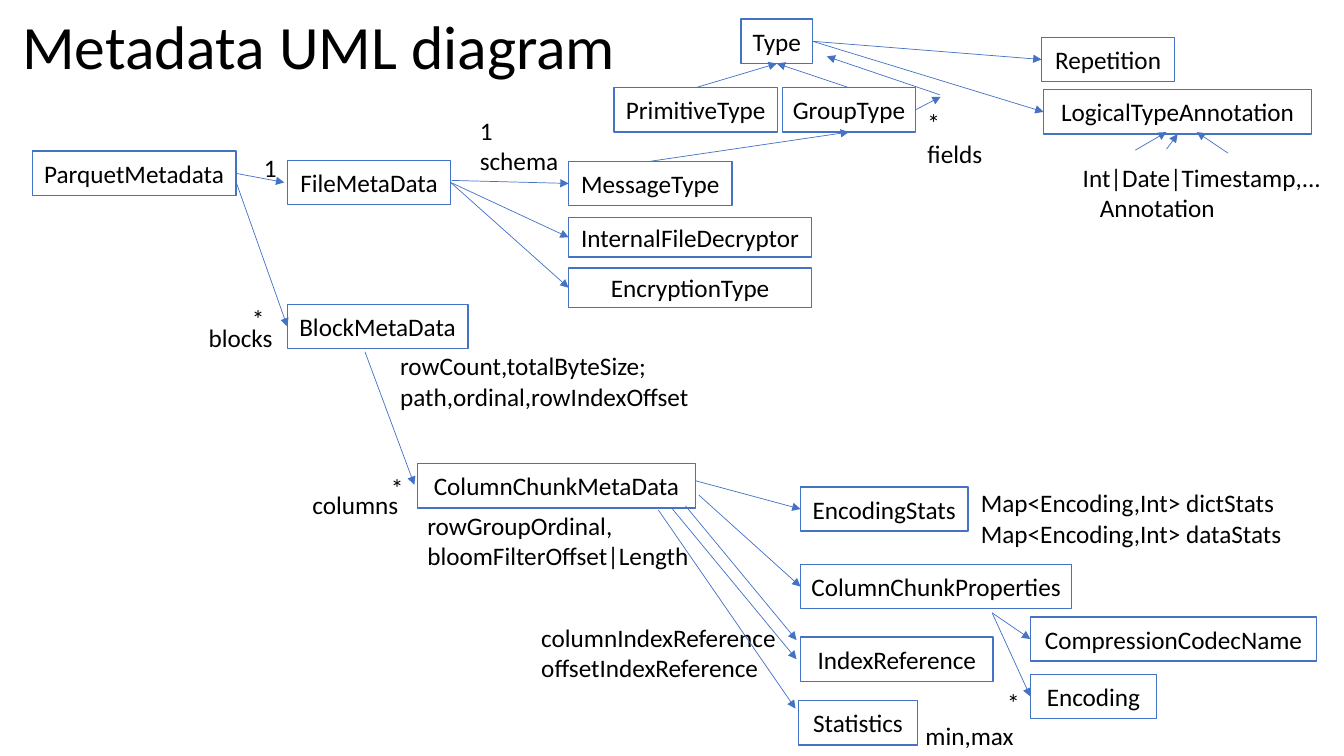
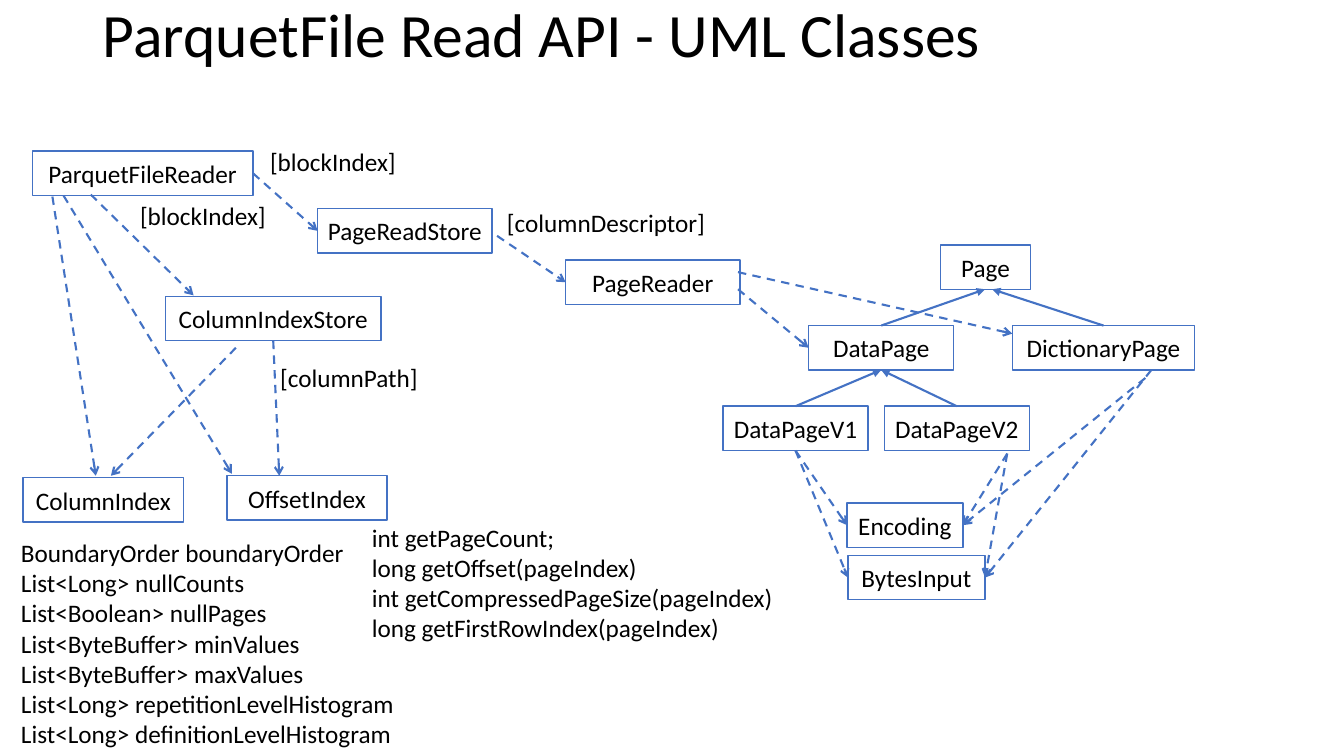
from dataclasses import dataclass
from typing import Any

from lxml import etree
from pptx import Presentation
from pptx import util as u
from pptx.dml.color import RGBColor
from pptx.enum import dml, shapes, text
from pptx.oxml import ns

PX = 9144  # 100 px to the inch
FONT = "Calibri"
INK, PAPER, ACCENT = "000000", "FFFFFF", "4472C4"
TOP, LEFT, BOTTOM, RIGHT = range(4)  # connection sites of a rectangle

# Arrow styles
MEMBER = dict(width=0.5, head="triangle")
EXTENDS = dict(width=1.5, head="triangle")
USES = dict(width=1.5, head="arrow", dashed=True)


def px(*lengths):
    return [u.Emu(length * PX) for length in lengths]


def color(value):
    return RGBColor.from_string(value)


def write(frame, lines, size=18, align=text.PP_ALIGN.LEFT,
          anchor=text.MSO_ANCHOR.TOP, spacing=None, indents=()):
    """Fill a text frame, one paragraph a line; indents are px per line."""
    frame.word_wrap = True
    frame.auto_size = text.MSO_AUTO_SIZE.NONE
    frame.vertical_anchor = anchor
    for number, line in enumerate(lines):
        para = frame.add_paragraph() if number else frame.paragraphs[0]
        para.alignment = align
        para.line_spacing = spacing
        if number < len(indents):
            para._p.get_or_add_pPr().set("marL", str(indents[number] * PX))
        span = para.add_run()
        span.text = line
        span.font.name = FONT
        span.font.size = u.Pt(size)
        span.font.color.rgb = color(INK)


@dataclass
class Region:
    """Part of a page; every position is relative to its left top corner."""
    page: Any
    left: int = 0
    top: int = 0

    def box(self, name, x, y, width, height=44):
        box = self.page.shapes.add_shape(
            shapes.MSO_SHAPE.RECTANGLE,
            *px(self.left + x, self.top + y, width, height))
        box.shadow.inherit = False
        box.fill.solid()
        box.fill.fore_color.rgb = color(PAPER)
        box.line.color.rgb = color(ACCENT)
        box.line.width = u.Pt(1)
        box.text_frame.margin_left = box.text_frame.margin_right = 0
        write(box.text_frame, [name], align=text.PP_ALIGN.CENTER,
              anchor=text.MSO_ANCHOR.MIDDLE)
        return box

    def note(self, lines, x, y, width, **style):
        height = 10 + 30 * len(lines)
        note = self.page.shapes.add_textbox(
            *px(self.left + x, self.top + y, width, height))
        write(note.text_frame, lines, **style)

    def link(self, start, end, width, head, dashed=False):
        """Each end is an (x, y) point or a (box, side) pair to glue to."""
        points = [(0, 0) if hasattr(a, "text_frame")
                  else (self.left + a, self.top + b) for a, b in (start, end)]
        line = self.page.shapes.add_connector(
            shapes.MSO_CONNECTOR.STRAIGHT, *px(*points[0], *points[1]))
        for target, connect in ((start, line.begin_connect),
                                (end, line.end_connect)):
            if hasattr(target[0], "text_frame"):
                connect(*target)
        line.line.color.rgb = color(ACCENT)
        line.line.width = u.Pt(width)
        if dashed:
            line.line.dash_style = dml.MSO_LINE.DASH
        properties = line.element.spPr
        etree.SubElement(properties.find(ns.qn("a:ln")),
                         ns.qn("a:tailEnd"), type=head)
        etree.SubElement(properties, ns.qn("a:effectLst"))

    def links(self, pairs, style):
        for start, end in pairs:
            self.link(start, end, **style)


def add_page(deck, title, x, y, height):
    page = deck.slides.add_slide(deck.slide_layouts[5])
    holder = page.shapes.title
    holder.left, holder.top, holder.width, holder.height = px(x, y, 1150, height)
    write(holder.text_frame, [title], size=44,
          anchor=text.MSO_ANCHOR.MIDDLE, spacing=0.9)
    return page


def file_metadata(region):
    # Classes
    parquet = region.box("ParquetMetadata", 0, 0, 202)
    file = region.box("FileMetaData", 253, 9, 162)
    block = region.box("BlockMetaData", 253, 152, 179)
    message = region.box("MessageType", 532, 10, 162)
    decryptor = region.box("InternalFileDecryptor", 532, 66, 241, 39)
    encryption = region.box("EncryptionType", 532, 116, 241, 39)
    # Members
    region.note(["*"], 208, 146, 33)
    region.note(["1"], 220, -4, 33)
    region.note(["1", "schema"], 434, -41, 99)
    region.note(["blocks"], 165, 165, 88)
    region.note(["rowCount,totalByteSize;", "path,ordinal,rowIndexOffset"],
                355, 193, 315)
    region.links([
        ((parquet, RIGHT), (250, 31)),
        ((202, 30), (block, LEFT)),
        ((416, 29), (message, LEFT)),
        ((file, RIGHT), (decryptor, LEFT)),
        ((file, RIGHT), (encryption, LEFT)),
    ], MEMBER)
    return message


def schema_types(region):
    # Classes
    base = region.box("Type", 126, 0, 71)
    primitive = region.box("PrimitiveType", 0, 68, 162)
    group = region.box("GroupType", 167, 68, 132)
    repetition = region.box("Repetition", 424, 18, 132)
    logical = region.box("LogicalTypeAnnotation", 426, 70, 266)
    # Members
    region.note(["*", "fields"], 301, 83, 75)
    region.note(["Int|Date|Timestamp,...", "Annotation"], 455, 137, 259,
                indents=(0, 17))
    region.links([
        ((primitive, TOP), (base, BOTTOM)),
        ((group, TOP), (base, BOTTOM)),
        ((base, RIGHT), (repetition, LEFT)),
        ((base, RIGHT), (logical, LEFT)),
        ((group, RIGHT), (324, 77)),
        ((323, 75), (211, 37)),
        ((517, 130), (548, 112)),
        ((548, 129), (559, 114)),
        ((609, 133), (578, 112)),
    ], MEMBER)
    return group


def column_chunk(region):
    # Classes
    chunk_width = 276
    region.box("ColumnChunkMetaData", 114, 0, chunk_width)
    stats = region.box("EncodingStats", 494, 23, 166)
    properties = region.box("ColumnChunkProperties", 494, 100, 269)
    region.box("IndexReference", 494, 172, 191)
    region.box("Statistics", 492, 235, 118)
    codec = region.box("CompressionCodecName", 722, 152, 284)
    encoding = region.box("Encoding", 722, 209, 125)
    # Members
    region.note(["*"], 78, 4, 33)
    region.note(["columns"], 0, 21, 114)
    region.note(["rowGroupOrdinal,", "bloomFilterOffset|Length"], 114, 41, 323)
    region.note(["columnIndexReference", "offsetIndexReference"], 227, 152, 267)
    region.note(["Map<Encoding,Int> dictStats", "Map<Encoding,Int> dataStats"],
                663, 19, 365)
    region.note(["*"], 689, 217, 33)
    region.note(["min,max"], 608, 250, 118)
    region.links([
        ((62, -111), (111, 21)),
        ((390, 17), (stats, LEFT)),
        ((393, 31), (properties, LEFT)),
        ((380, 42), (490, 175)),
        ((367, 45), (490, 194)),
        ((353, 46), (489, 243)),
        ((684, 148), (codec, LEFT)),
        ((684, 148), (encoding, LEFT)),
    ], MEMBER)


def file_reader(region):
    # Classes
    reader = region.box("ParquetFileReader", 9, 0, 219)
    read_store = region.box("PageReadStore", 292, 57, 173)
    page_reader = region.box("PageReader", 538, 108, 173)
    index_store = region.box("ColumnIndexStore", 141, 144, 214)
    region.box("ColumnIndex", 0, 324, 159)
    region.box("OffsetIndex", 202, 322, 159)
    # Lookup keys
    region.note(["[blockIndex]"], 235, -10, 146)
    region.note(["[blockIndex]"], 106, 44, 152)
    region.note(["[columnDescriptor]"], 470, 51, 225)
    region.note(["[columnPath]"], 245, 205, 158)
    # Members
    region.note(["int getPageCount;", "long getOffset(pageIndex)",
                 "int getCompressedPageSize(pageIndex)",
                 "long getFirstRowIndex(pageIndex)"], 336, 363, 461)
    region.note(["BoundaryOrder boundaryOrder", "List<Long> nullCounts",
                 "List<Boolean> nullPages", "List<ByteBuffer> minValues",
                 "List<ByteBuffer> maxValues",
                 "List<Long> repetitionLevelHistogram",
                 "List<Long> definitionLevelHistogram"], -12, 378, 513)
    region.links([
        ((reader, RIGHT), (read_store, LEFT)),
        ((470, 84), (page_reader, LEFT)),
        ((67, 43), (169, 143)),
        ((29, 45), (72, 322)),
        ((40, 44), (207, 320)),
        ((index_store, BOTTOM), (254, 322)),
        ((211, 195), (87, 322)),
    ], USES)


def page_classes(region):
    # Classes
    region.box("Page", 216, 0, 89)
    data = region.box("DataPage", 85, 80, 144)
    dictionary = region.box("DictionaryPage", 287, 80, 181)
    first = region.box("DataPageV1", 0, 160, 144)
    second = region.box("DataPageV2", 160, 160, 144)
    encoding = region.box("Encoding", 123, 256, 115)
    content = region.box("BytesInput", 124, 308, 136)
    # Inheritance
    region.links([
        ((data, TOP), (260, 44)),
        ((dictionary, TOP), (267, 44)),
        ((first, TOP), (data, BOTTOM)),
        ((second, TOP), (data, BOTTOM)),
    ], EXTENDS)
    # Use, the first two coming from the page reader
    region.links([
        ((15, 44), (data, LEFT)),
        ((15, 27), (287, 88)),
        ((first, BOTTOM), (encoding, LEFT)),
        ((first, BOTTOM), (content, LEFT)),
        ((282, 207), (encoding, RIGHT)),
        ((282, 207), (content, RIGHT)),
        ((425, 124), (content, RIGHT)),
        ((419, 132), (encoding, RIGHT)),
    ], USES)


def main():
    deck = Presentation()
    deck.slide_width, deck.slide_height = px(1333, 750)

    metadata = add_page(deck, "Metadata UML diagram", 12, 6, 86)
    message = file_metadata(Region(metadata, 32, 150))
    group = schema_types(Region(metadata, 609, 19))
    column_chunk(Region(metadata, 300, 460))
    Region(metadata).link((message, TOP), (group, BOTTOM), **MEMBER)

    reading = add_page(deck, "ParquetFile Read API - UML Classes", 92, 0, 75)
    file_reader(Region(reading, 23, 150))
    page_classes(Region(reading, 717, 243))

    deck.save("out.pptx")


if __name__ == "__main__":
    main()
